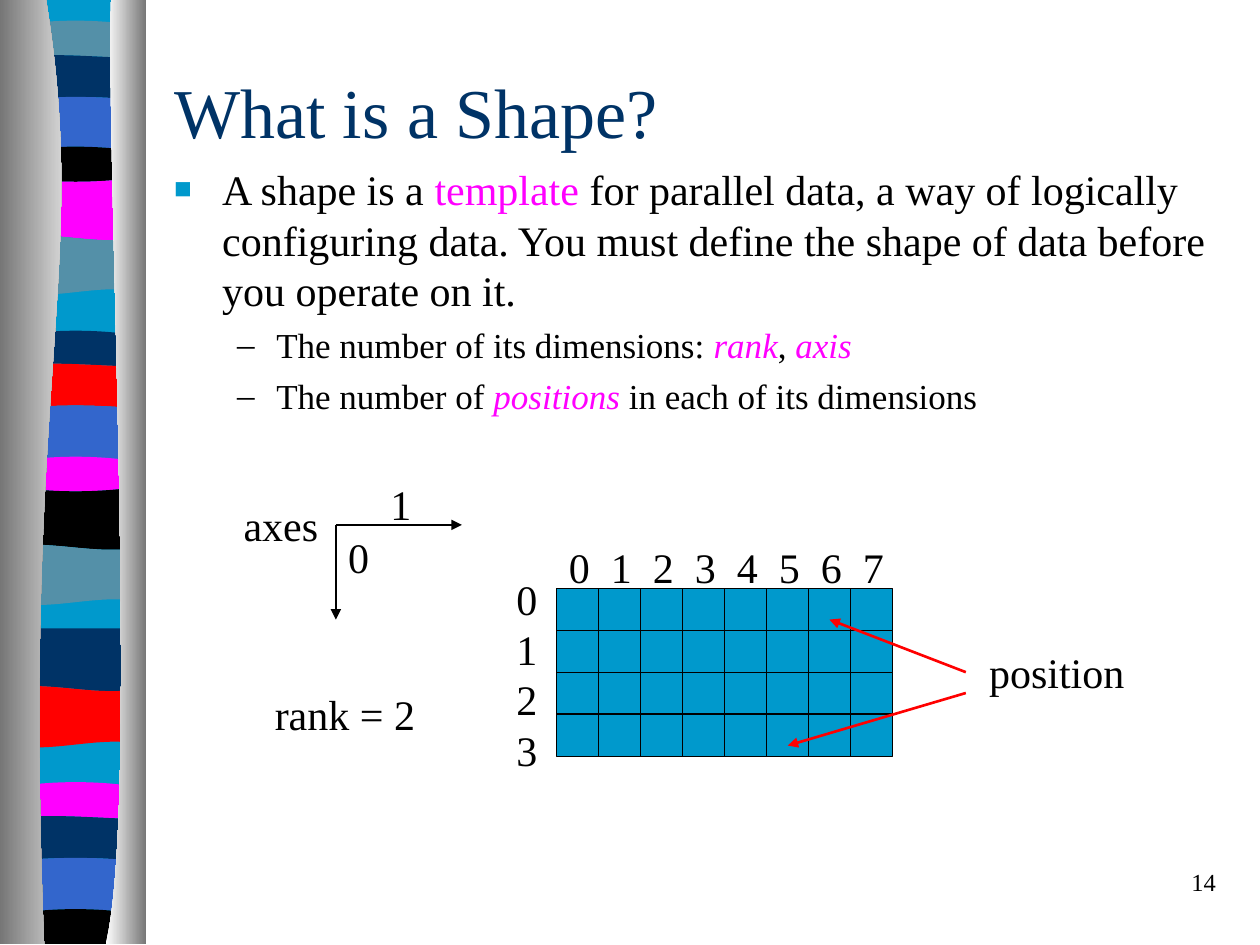
from lxml.etree import SubElement
from pptx import Presentation
from pptx.dml.color import RGBColor
from pptx.enum.shapes import MSO_CONNECTOR, MSO_SHAPE
from pptx.enum.text import MSO_ANCHOR, PP_ALIGN
from pptx.oxml.ns import qn
from pptx.util import Cm, Pt

FONT = "Times New Roman"
HUES = {"sky": "0099CC", "teal": "5490A8", "navy": "003366", "blue": "3366CC",
        "pink": "FF00FF", "red": "FF0000", "black": "000000",
        "gray": "767676", "white": "FFFFFF"}

# All lengths are in centimetres.
WAVES = {"flat": (0, 0, 0, 0), "rise": (0, -.13, 0, 0), "dip": (0, -.15, -.15, 0),
         "bulge": (0, .14, .14, 0), "roll": (0, -.15, .2, 0), "swell": (0, .2, -.2, 0),
         "arch": (.05, -.05, -.05, .05)}
# Colour, height of the top edge, form of the top edge
BANDS = [("sky", 0, "flat"), ("teal", .53, "dip"), ("navy", 1.17, "rise"),
         ("blue", 1.98, "arch"), ("black", 3.07, "dip"), ("pink", 3.56, "bulge"),
         ("teal", 4.78, "roll"), ("sky", 5.89, "swell"), ("navy", 6.78, "dip"),
         ("red", 7.39, "rise"), ("blue", 8.2, "arch"), ("pink", 9.32, "dip"),
         ("black", 9.8, "bulge"), ("teal", 11.02, "roll"), ("sky", 12.14, "swell"),
         ("navy", 12.67, "flat"), ("red", 13.87, "roll"), ("sky", 15.01, "swell"),
         ("pink", 15.88, "dip"), ("navy", 16.51, "rise"), ("blue", 17.32, "arch"),
         ("black", 18.44, "dip")]
LEFT, RIGHT, FOOT = .15, 2.9, 19.03
# Outer side, inner curve, gradient from left to right
RAILS = [(0, [(.93, 0), (1.82, 5.49), (.43, 7.52), (.89, FOOT)], ("gray", "white")),
         (2.95, [(2.24, 0), (2.13, 3.18), (2.82, 16.41), (2.13, FOOT)], ("white", "gray"))]

POINT = {"size": 24, "mark": ("■", "sky", 70), "indent": (.97, -.97)}
SUB = {"size": 20, "mark": ("–", "black", 100), "indent": (2.06, -.79), "before": 5}
BODY = [
    (["A shape is a ", ("template", "pink", False),
      " for parallel data, a way of logically configuring data. "
      "You must define the shape of data before you operate on it."], POINT),
    (["The number of its dimensions: ", ("rank", "pink", True), ", ",
      ("axis", "pink", True)], SUB),
    (["The number of ", ("positions", "pink", True),
      " in each of its dimensions"], SUB),
]

COLS, ROWS = 8, 4
CELL = 6.77 / COLS
GRID = (11.22, 11.86)
LABELS = [((4.66, 9.95, 2.34, 1.27), "axes"), ((7.62, 9.53, 1.27, 1.27), "1"),
          ((6.77, 10.58, 1.27, 1.27), "0"), ((19.69, 12.9, 3.81, 1.27), "position"),
          ((5.29, 13.76, 3.6, 1.27), "rank = 2")]
ARROWS = [("black", (6.77, 10.58), (9.31, 10.58)), ("black", (6.77, 10.58), (6.77, 12.49)),
          ("red", (19.47, 13.55), (16.72, 12.49)), ("red", (19.47, 13.97), (15.88, 15.03))]


def rgb(hue):
    return RGBColor.from_string(HUES[hue])


def outline(slide, start, *parts):
    """Closed outline; a part is one point for a line, three for a curve."""
    spots = [(Cm(x), Cm(y)) for part in parts for x, y in part]
    form = slide.shapes.build_freeform(Cm(start[0]), Cm(start[1]), scale=1.0)
    form.add_line_segments(spots, close=True)
    shape = form.convert_to_shape()
    lines = iter(list(shape._element.iter(qn("a:lnTo"))))
    for part in parts:
        first, *rest = [next(lines) for _ in part]
        if rest:
            first.tag = qn("a:cubicBezTo")
            for line in rest:
                first.append(line[0])
                line.getparent().remove(line)
    shape.shadow.inherit = False
    shape.line.fill.background()
    return shape


def paint(shape, hue):
    shape.fill.solid()
    shape.fill.fore_color.rgb = rgb(hue)


def edge(y, wave):
    step = (RIGHT - LEFT) / 3
    return [(LEFT + step * i, y + d) for i, d in enumerate(WAVES[wave])]


def draw_side(slide):
    base = outline(slide, (LEFT, 0), [(RIGHT, 0)], [(RIGHT, FOOT)], [(LEFT, FOOT)])
    paint(base, "sky")
    ends = BANDS[1:] + [("", FOOT, "flat")]
    for (hue, y, wave), (_, low, form) in zip(BANDS, ends):
        if hue != "sky":
            top, foot = edge(y, wave), edge(low, form)[::-1]
            paint(outline(slide, top[0], top[1:], foot[:1], foot[1:]), hue)
    for x, inner, hues in RAILS:
        rail = outline(slide, inner[0], inner[1:], [(x, FOOT)], [(x, 0)])
        rail.fill.gradient()
        rail.fill.gradient_angle = 0
        for stop, hue in zip(rail.fill.gradient_stops, hues):
            stop.color.rgb = rgb(hue)


def add_mark(props, mark):
    sign, hue, size = mark
    tint = SubElement(props, qn("a:buClr"))
    SubElement(tint, qn("a:srgbClr"), val=HUES[hue])
    SubElement(props, qn("a:buSzPct"), val=str(size * 1000))
    SubElement(props, qn("a:buFont"), typeface=FONT)
    SubElement(props, qn("a:buChar"), char=sign)


def add_tabs(props, step, count):
    stops = SubElement(props, qn("a:tabLst"))
    for i in range(1, count + 1):
        SubElement(stops, qn("a:tab"), pos=str(Cm(step * i)), algn="l")


def write(slide, box, paras, hue="black", anchor=MSO_ANCHOR.TOP, **base):
    """Add a text box; each paragraph is a string or a pair of runs and format."""
    frame = slide.shapes.add_textbox(*map(Cm, box)).text_frame
    frame.word_wrap = True
    frame.vertical_anchor = anchor
    for i, item in enumerate(paras):
        runs, own = ([item], {}) if isinstance(item, str) else item
        form = {"size": 24, **base, **own}
        para = frame.paragraphs[0] if i == 0 else frame.add_paragraph()
        props = para._p.get_or_add_pPr()
        if "mark" in form:
            left, first = form["indent"]
            props.set("marL", str(Cm(left)))
            props.set("indent", str(Cm(first)))
            add_mark(props, form["mark"])
        if "tab" in form:
            add_tabs(props, form["tab"], COLS - 1)
        para.alignment = form.get("align", PP_ALIGN.LEFT)
        para.line_spacing = Pt(form["size"] * 1.2)
        para.space_before = Pt(form.get("before", 0))
        for part in runs:
            words, tint, slant = (part, hue, False) if isinstance(part, str) else part
            run = para.add_run()
            run.text = words
            run.font.name = FONT
            run.font.size = Pt(form["size"])
            run.font.italic = slant
            run.font.color.rgb = rgb(tint)


def draw_grid(slide):
    left, top = GRID
    for col in range(COLS):
        for row in range(ROWS):
            cell = slide.shapes.add_shape(
                MSO_SHAPE.RECTANGLE, Cm(left + col * CELL), Cm(top + row * CELL),
                Cm(CELL), Cm(CELL))
            cell.shadow.inherit = False
            paint(cell, "sky")
            cell.line.color.rgb = rgb("black")
            cell.line.width = Pt(.75)
    write(slide, (left, 10.8, 7.82, 1.27), ["\t".join(map(str, range(COLS)))], tab=CELL)
    # The narrow box wraps after each digit.
    write(slide, (10.16, 11.43, .85, 4.32), ["".join(map(str, range(ROWS)))])


def arrow(slide, hue, start, end):
    line = slide.shapes.add_connector(MSO_CONNECTOR.STRAIGHT, *map(Cm, start + end))
    line.line.color.rgb = rgb(hue)
    line.line.width = Pt(1.5)
    SubElement(line.line._get_or_add_ln(), qn("a:tailEnd"), type="triangle")
    SubElement(line._element.spPr, qn("a:effectLst"))


def main():
    deck = Presentation()
    deck.slide_width, deck.slide_height = Cm(25.4), Cm(19.05)
    slide = deck.slides.add_slide(deck.slide_layouts[6])
    draw_side(slide)
    write(slide, (3.26, 1.27, 21.59, 1.91), ["What is a Shape?"], size=40, hue="navy",
          anchor=MSO_ANCHOR.MIDDLE)
    write(slide, (3.26, 3.18, 21.59, 13.77), BODY)
    draw_grid(slide)
    for box, words in LABELS:
        write(slide, box, [words])
    for item in ARROWS:
        arrow(slide, *item)
    write(slide, (19.48, 17.35, 5.28, 1.27), ["14"], size=14, align=PP_ALIGN.RIGHT)
    deck.save("out.pptx")


if __name__ == "__main__":
    main()
